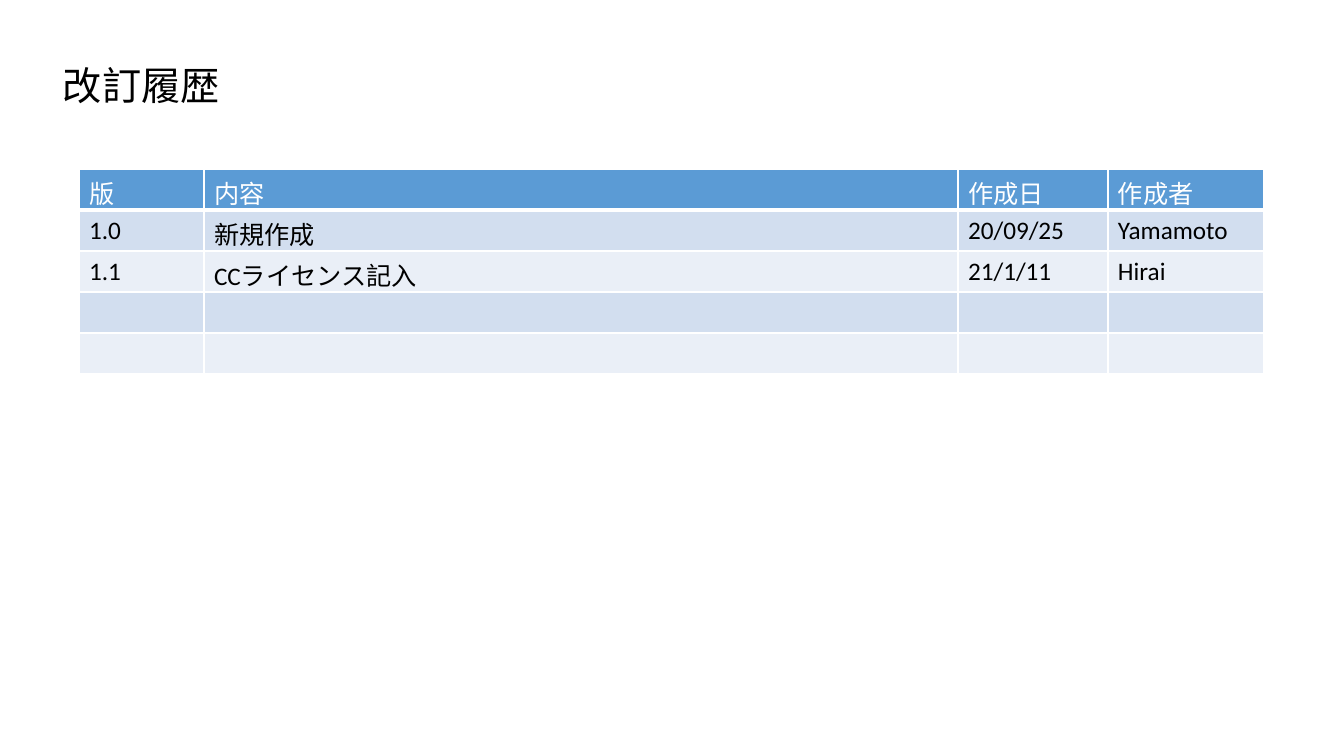
from lxml import etree
from pptx import Presentation
from pptx.dml.color import RGBColor
from pptx.enum.text import MSO_AUTO_SIZE
from pptx.oxml.ns import qn
from pptx.util import Pt

TITLE = "改訂履歴"
ROWS = [
    ("版", "内容", "作成日", "作成者"),
    ("1.0", "新規作成", "20/09/25", "Yamamoto"),
    ("1.1", "CCライセンス記入", "21/1/11", "Hirai"),
    ("", "", "", ""),
    ("", "", "", ""),
]
WIDTHS = (125, 754, 150, 156)
LEFT, TOP, HIGH = 79, 169, 41

FONT = "Calibri"
BLACK = RGBColor(0, 0, 0)
WHITE = RGBColor(255, 255, 255)
BLUE = RGBColor(0x5B, 0x9B, 0xD5)
BANDS = (RGBColor(0xEA, 0xEF, 0xF7), RGBColor(0xD2, 0xDE, 0xEF))
FIT = MSO_AUTO_SIZE.SHAPE_TO_FIT_TEXT


def px(n):
    return round(n * 914400 / 100.8)


def style(frame, size, color):
    for run in frame.paragraphs[0].runs:
        run.font.name = FONT
        run.font.size = Pt(size)
        run.font.bold = False
        run.font.color.rgb = color


def edge(cell, side, width):
    line = etree.Element(qn("a:ln" + side), w=str(Pt(width)))
    fill = etree.SubElement(line, qn("a:solidFill"))
    etree.SubElement(fill, qn("a:srgbClr"), val=str(WHITE))
    return line


def border(cell, widths):
    props = cell._tc.get_or_add_tcPr()
    for spot, (side, width) in enumerate(zip("LRTB", widths)):
        props.insert(spot, edge(cell, side, width))


deck = Presentation()
deck.slide_width, deck.slide_height = px(1344), px(756)
slide = deck.slides.add_slide(deck.slide_layouts[6])

title = slide.shapes.add_textbox(px(53), px(56), px(178), px(57)).text_frame
title.word_wrap = False
title.auto_size = FIT
title.text = TITLE
style(title, 28, BLACK)

table = slide.shapes.add_table(
    len(ROWS), len(WIDTHS), px(LEFT), px(TOP),
    px(sum(WIDTHS)), px(HIGH * len(ROWS))).table
for col, width in zip(table.columns, WIDTHS):
    col.width = px(width)

for r, row in enumerate(ROWS):
    for c, text in enumerate(row):
        cell = table.cell(r, c)
        cell.text = text
        style(cell.text_frame, 18, BLACK if r else WHITE)
        cell.fill.solid()
        cell.fill.fore_color.rgb = BANDS[r % 2] if r else BLUE
        border(cell, (1, 1, 3 if r == 1 else 1, 1 if r else 3))

deck.save("out.pptx")
